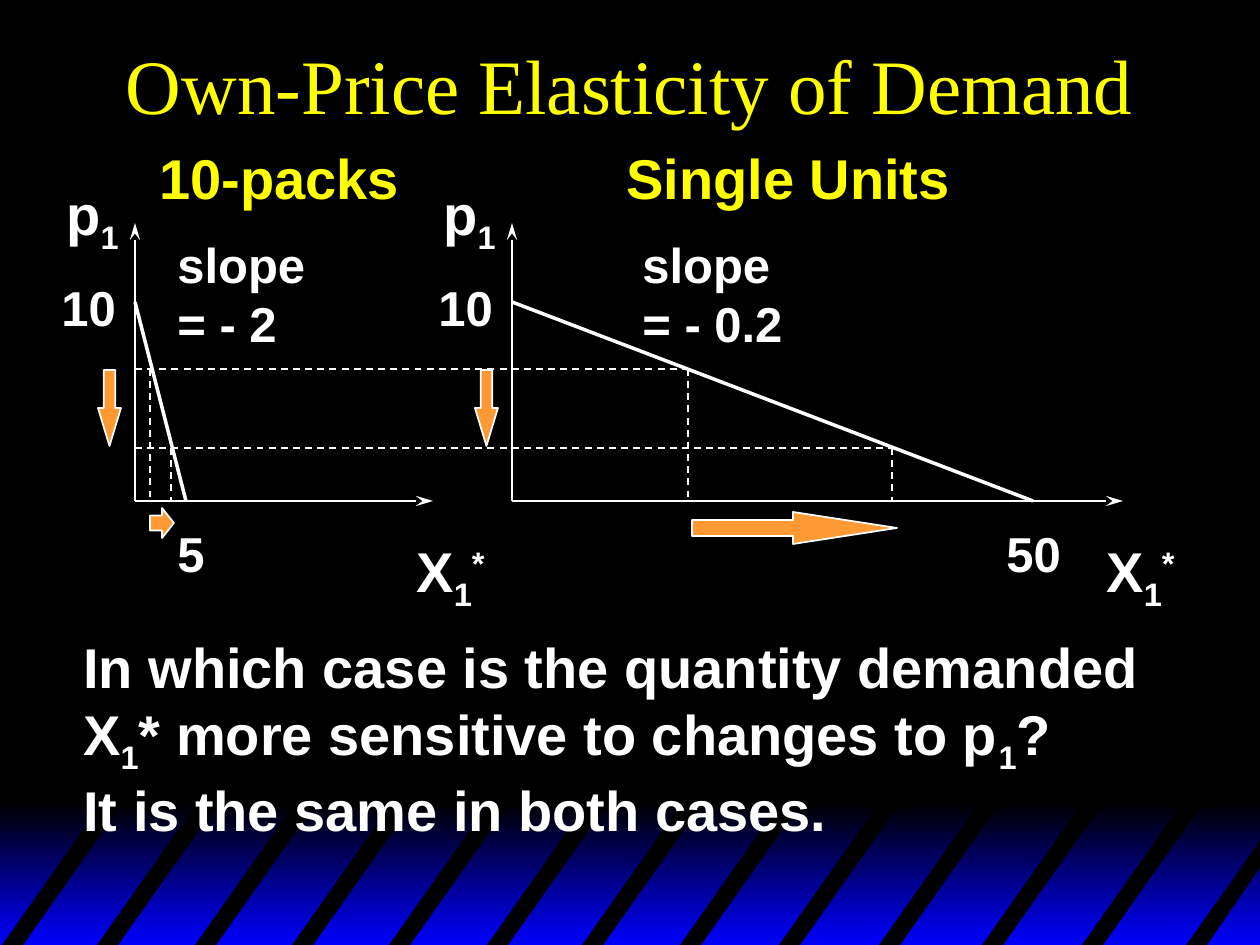
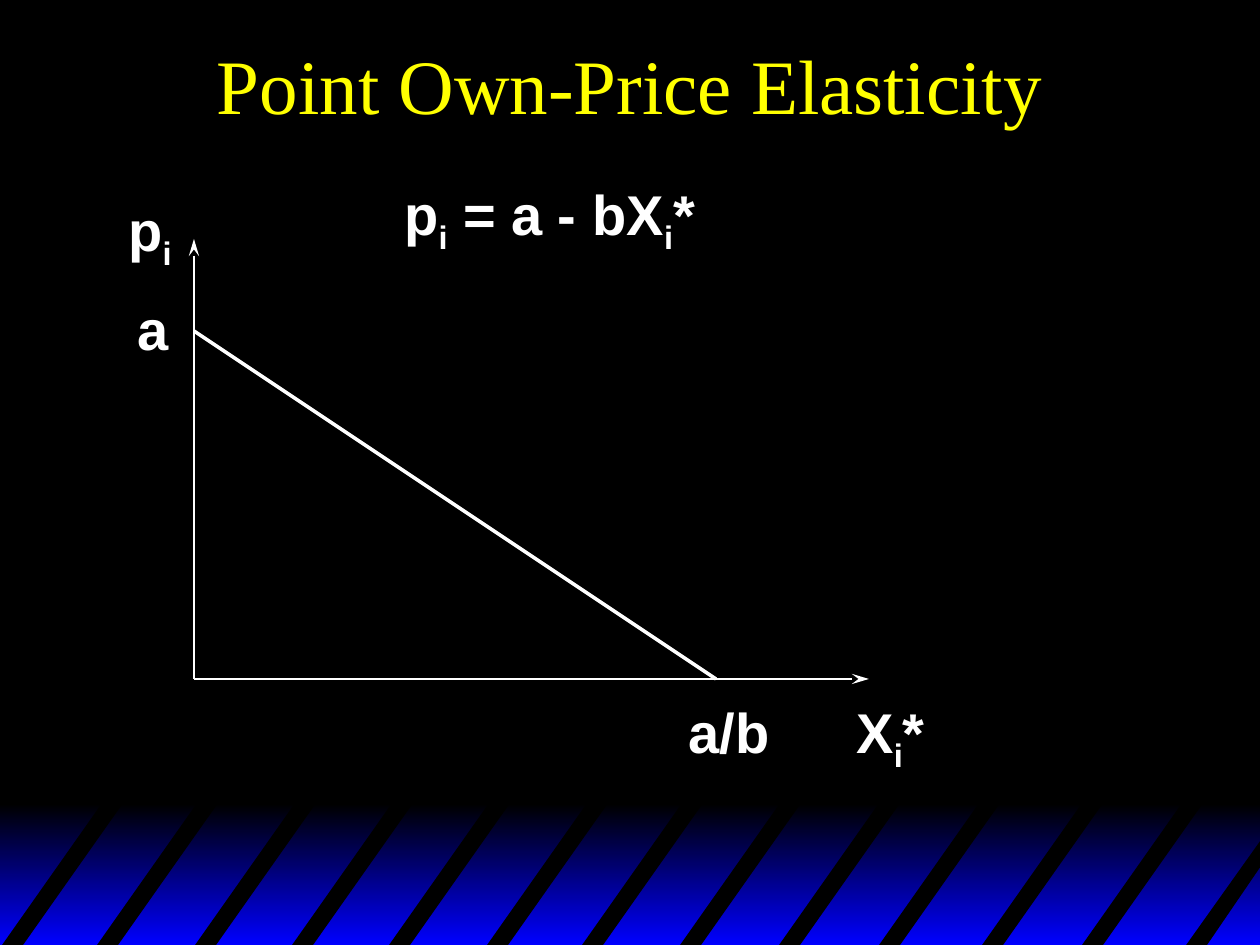
from lxml.etree import SubElement
from pptx import Presentation
from pptx.dml.color import RGBColor
from pptx.enum.dml import MSO_LINE
from pptx.enum.shapes import MSO_CONNECTOR, MSO_SHAPE
from pptx.enum.text import MSO_ANCHOR, MSO_AUTO_SIZE, PP_ALIGN
from pptx.oxml.ns import qn
from pptx.util import Pt

SCALE = 914400 / 126
WIDTH, HEIGHT = 1260, 945
COLORS = {
    "black": "000000",
    "blue": "0000FF",
    "white": "FFFFFF",
    "yellow": "FFFF00",
    "orange": "FF9933",
}
TITLE = {"name": "Times New Roman", "size": Pt(44), "bold": False}
LARGE = {"name": "Arial", "size": Pt(32), "bold": True}
SMALL = {"name": "Arial", "size": Pt(28), "bold": True}
BASELINES = {"_": "-25000", "^": "30000"}
STRIPE_LEFTS = [0, 95, 193, 290, 387, 485, 580, 678, 777, 877, 980, 1080]
PRICES = (369, 448)


def px(*lengths):
    return [round(n * SCALE) for n in lengths]


def rgb(name):
    return RGBColor.from_string(COLORS[name])


def paint(sp, color):
    sp.shadow.inherit = False
    sp.fill.solid()
    sp.fill.fore_color.rgb = rgb(color)


def style(font, look, color):
    for name, value in look.items():
        setattr(font, name, value)
    font.color.rgb = rgb(color)


def add_text(slide, text, box, look=LARGE, color="white"):
    """Bars split the runs; a run led by _ is lowered, one led by ^ is raised."""
    tf = slide.shapes.add_textbox(*px(*box)).text_frame
    tf.word_wrap = False
    tf.auto_size = MSO_AUTO_SIZE.SHAPE_TO_FIT_TEXT
    p = tf.paragraphs[0]
    for piece in text.split("|"):
        baseline = BASELINES.get(piece[0])
        for i, line in enumerate((piece[1:] if baseline else piece).split("\n")):
            if i:
                p.add_line_break()
            r = p.add_run()
            r.text = line
            style(r.font, look, color)
            if baseline:
                r.font._element.set("baseline", baseline)


def add_line(slide, x1, y1, x2, y2, width=1, arrow=None, dashed=False):
    """Draw a white line; arrow is headEnd or tailEnd."""
    line = slide.shapes.add_connector(MSO_CONNECTOR.STRAIGHT, *px(x1, y1, x2, y2))
    line.line.color.rgb = rgb("white")
    line.line.width = Pt(width)
    if dashed:
        line.line.dash_style = MSO_LINE.DASH
    if arrow:
        SubElement(line.line._get_or_add_ln(), qn("a:" + arrow), type="stealth", len="lg")
    SubElement(line.element.spPr, qn("a:effectLst"))


def add_block_arrow(slide, kind, box, head):
    sp = slide.shapes.add_shape(kind, *px(*box))
    sp.adjustments[0], sp.adjustments[1] = 0.5, head
    paint(sp, "orange")
    sp.line.color.rgb = rgb("white")
    sp.line.width = Pt(1)


def add_band(slide, layout):
    """Build the striped band and hand it to the layout, so every slide shows it."""
    band = slide.shapes.add_group_shape()
    bottom, top = 948, 799
    sp = band.shapes.add_shape(MSO_SHAPE.RECTANGLE, *px(0, 804, WIDTH + 2, 141))
    sp.shadow.inherit = False
    sp.line.fill.background()
    sp.fill.gradient()
    sp.fill.gradient_angle = 270
    for stop, position, color in zip(sp.fill.gradient_stops, (0, 1), ("black", "blue")):
        stop.position = position
        stop.color.rgb = rgb(color)
    outlines = [[(x, bottom), (x + 105, top), (x + 126, top), (x + 21, bottom)]
                for x in STRIPE_LEFTS]
    outlines.append([(1184, bottom), (1263, 837), (1263, 863), (1205, bottom)])
    for start, *others in outlines:
        builder = band.shapes.build_freeform(*start, scale=SCALE)
        builder.add_line_segments(others, close=True)
        stripe = builder.convert_to_shape()
        paint(stripe, "black")
        stripe.line.fill.background()
    for number, props in enumerate(band.element.iter(qn("p:cNvPr")), 100):
        props.set("id", str(number))
    layout.shapes.element.append(band.element)


def add_slide(prs, layout, title):
    slide = prs.slides.add_slide(layout)
    sp = slide.shapes.title
    sp.left, sp.top, sp.width, sp.height = px(0, 0, WIDTH, 168)
    tf = sp.text_frame
    tf.text = title
    tf.vertical_anchor = MSO_ANCHOR.MIDDLE
    tf.auto_size = MSO_AUTO_SIZE.NONE
    p = tf.paragraphs[0]
    p.alignment = PP_ALIGN.CENTER
    style(p.runs[0].font, TITLE, "yellow")
    return slide


def add_demand_graph(slide, box, intercept, reach, labels):
    """Draw axes, demand curve and labels; labels are placed from the box's corner."""
    left, top, width, height = box
    base = top + height
    add_line(slide, left, top, left, base, arrow="headEnd")
    add_line(slide, left, base, left + width, base, arrow="tailEnd")
    add_line(slide, left, top + intercept, left + reach, base, width=2)
    for text, (dx, dy, w, h), *look in labels:
        add_text(slide, text, (left + dx, top + dy, w, h), *look)


def add_market(slide, box, reach, heading, slope, quantity, sold, arrow, head):
    """Draw a market: demand graph, quantities sold and arrows for the changes."""
    left, top, width, height = box
    base = top + height
    add_demand_graph(slide, box, 79, reach, [
        ("p|_1", (-81, -50, 80, 89)),
        ("10", (-86, 48, 84, 72), SMALL),
        ("X|_1|^*", (width - 29, height + 29, 96, 89)),
        (*heading, LARGE, "yellow"),
        (*slope, SMALL),
        (*quantity, SMALL),
    ])
    for price, dx in zip(PRICES, sold):
        add_line(slide, left + dx, price, left + dx, base + 1, dashed=True)
    add_block_arrow(slide, MSO_SHAPE.DOWN_ARROW, (left - 37, PRICES[0] + 1, 23, 76), 1.65)
    dx, dy, w, h = arrow
    add_block_arrow(slide, MSO_SHAPE.RIGHT_ARROW, (left + dx, base + dy, w, h), head)


def add_market_comparison(prs, layout):
    slide = add_slide(prs, layout, "Own-Price Elasticity of Demand")
    add_market(slide, (135, 223, 298, 278), 51,
               heading=("10-packs", (12, -86, 268, 79)),
               slope=("slope\n= - 2", (30, 5, 156, 131)),
               quantity=("5", (30, 294, 56, 72)),
               sold=(15, 36), arrow=(15, 7, 24, 30), head=0.5)
    add_market(slide, (512, 223, 611, 278), 521,
               heading=("Single Units", (102, -86, 352, 79)),
               slope=("slope\n= - 0.2", (118, 5, 168, 131)),
               quantity=("50", (482, 294, 84, 72)),
               sold=(176, 380), arrow=(180, 11, 205, 32), head=3.25)
    for price, end in zip(PRICES, (686, 892)):
        add_line(slide, 135, price, end, price, dashed=True)
    add_text(slide, "In which case is the quantity demanded\nX|_1|* more sensitive"
             " to changes to p|_1|?\nIt is the same in both cases.", (71, 626, 1084, 224))
    return slide


def add_point_elasticity(prs, layout):
    slide = add_slide(prs, layout, "Point Own-Price Elasticity")
    add_demand_graph(slide, (194, 239, 675, 440), 92, 522, [
        ("p|_i", (-78, -50, 71, 89)),
        ("a", (-69, 49, 60, 79)),
        ("a/b", (482, 452, 110, 79)),
        ("X|_i|*", (650, 452, 96, 89)),
        ("p|_i| = a - bX|_i|*", (198, -66, 318, 89)),
    ])


def main():
    prs = Presentation()
    prs.slide_width, prs.slide_height = px(WIDTH, HEIGHT)
    fill = prs.slide_master.background.fill
    fill.solid()
    fill.fore_color.rgb = rgb("black")
    layout = prs.slide_layouts.get_by_name("Title Only")
    slide = add_market_comparison(prs, layout)
    add_band(slide, layout)
    add_point_elasticity(prs, layout)
    prs.save("out.pptx")


if __name__ == "__main__":
    main()
